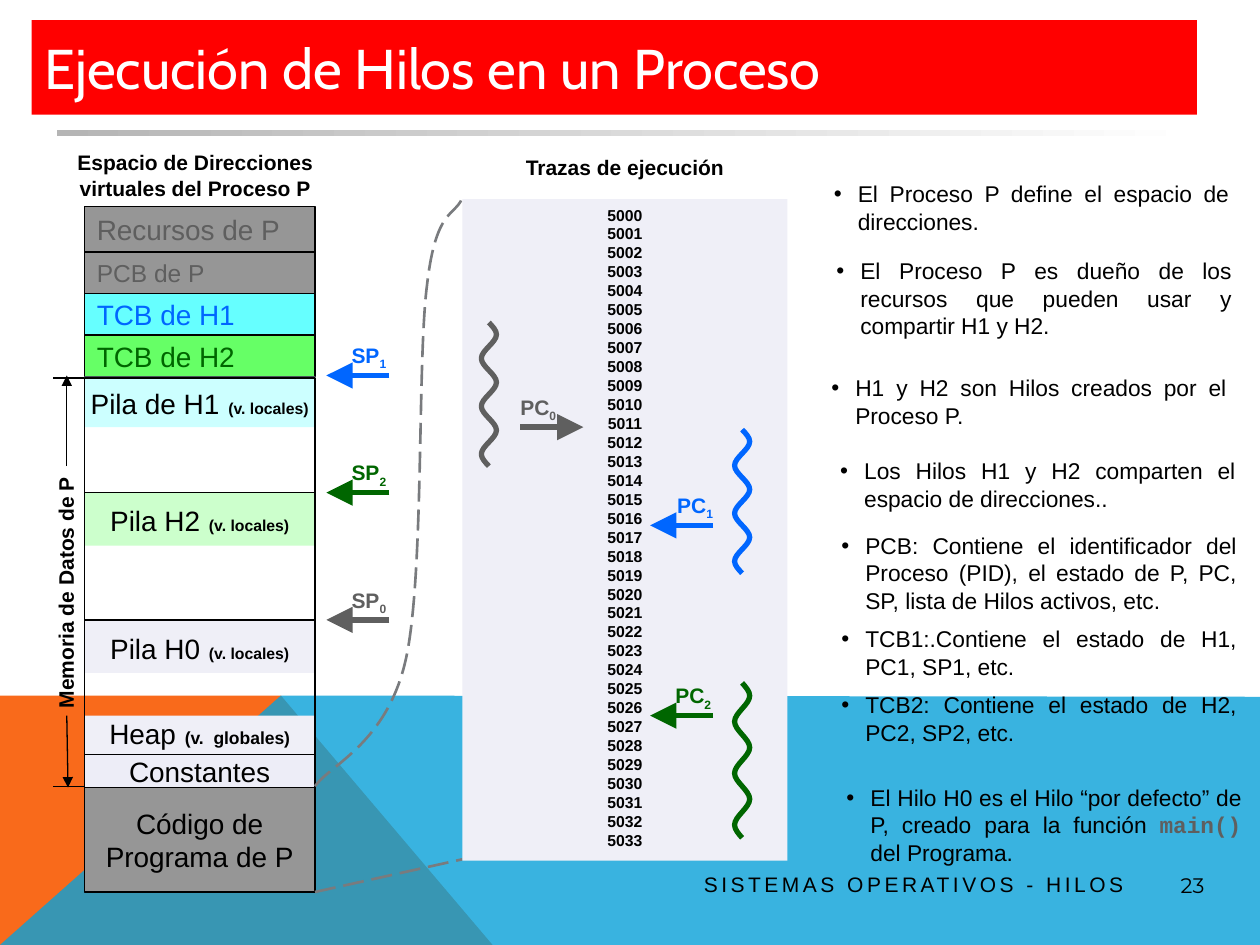
from lxml import etree
from pptx import Presentation
from pptx.dml.color import RGBColor
from pptx.enum.dml import MSO_LINE
from pptx.enum.shapes import MSO_CONNECTOR, MSO_SHAPE
from pptx.enum.text import MSO_ANCHOR, PP_ALIGN
from pptx.oxml.ns import qn
from pptx.util import Inches, Pt

LEFT, CENTER, RIGHT = PP_ALIGN.LEFT, PP_ALIGN.CENTER, PP_ALIGN.RIGHT
JUSTIFY = PP_ALIGN.JUSTIFY
TOP, MIDDLE = MSO_ANCHOR.TOP, MSO_ANCHOR.MIDDLE
RECT, OVAL = MSO_SHAPE.RECTANGLE, MSO_SHAPE.OVAL
STRAIGHT, LONG_DASH = MSO_CONNECTOR.STRAIGHT, MSO_LINE.LONG_DASH

BLACK, GRAY, BLUE, GREEN = "000000", "5F5F5F", "0066FF", "006600"
DARK, PALE = "969696", "EFEFF7"
MEM_X, MEM_W = 0.67, 1.83

BULLETS = [
    (6.52, 1.38, 0.54, ["El Proceso P define el espacio de direcciones."]),
    (6.54, 1.99, 0.76, ["El Proceso P es dueño de los recursos que pueden usar y compartir H1 y H2."]),
    (6.5, 2.92, 0.49, ["H1 y H2 son Hilos creados por el Proceso P."]),
    (6.57, 3.58, 0.54, ["Los Hilos H1 y H2 comparten el espacio de direcciones.."]),
    (6.58, 4.17, 1.85, [
        "PCB: Contiene el identificador del Proceso (PID), el estado de P, PC, SP, lista de Hilos activos, etc.",
        "TCB1:.Contiene el estado de H1, PC1, SP1, etc.",
        "TCB2: Contiene el estado de H2, PC2, SP2, etc."]),
    (6.62, 6.17, 0.76, ["El Hilo H0 es el Hilo “por defecto” de P, creado para la función "]),
]


def rgb(color):
    return RGBColor.from_string(color)


def style(sp, fill=None, line=None, width=0.75):
    sp.shadow.inherit = False
    if fill:
        sp.fill.solid()
        sp.fill.fore_color.rgb = rgb(fill)
    else:
        sp.fill.background()
    if line:
        sp.line.color.rgb = rgb(line)
        sp.line.width = Pt(width)
    else:
        sp.line.fill.background()


def set_font(font, size, color=BLACK, bold=False, name="Arial"):
    font.size, font.bold, font.name = Pt(size), bold, name
    font.color.rgb = rgb(color)


def write(sp, lines, size, color=BLACK, bold=False, align=LEFT, anchor=TOP,
          wrap=True, margin=None, name="Arial"):
    tf = sp.text_frame
    tf.word_wrap, tf.vertical_anchor = wrap, anchor
    if margin is not None:
        tf.margin_left = tf.margin_right = tf.margin_top = tf.margin_bottom = Inches(margin)
    for i, text in enumerate(lines):
        p = tf.add_paragraph() if i else tf.paragraphs[0]
        p.add_run().text = text
        p.alignment = align
        set_font(p.font, size, color, bold, name)
    return tf


def add_run(p, text, size, **font):
    r = p.add_run()
    r.text = text
    set_font(r.font, size, **font)
    return r


def box(s, x, y, w, h, fill=None, line=None, shape=RECT):
    sp = s.shapes.add_shape(shape, Inches(x), Inches(y), Inches(w), Inches(h))
    style(sp, fill, line)
    return sp


def label(s, x, y, w, h, lines, size, **text):
    sp = s.shapes.add_textbox(Inches(x), Inches(y), Inches(w), Inches(h))
    write(sp, lines, size, **text)
    return sp


def segment(s, y, h, fill, lines, size=16, color=BLACK, line=BLACK, align=CENTER, note=None):
    sp = box(s, MEM_X, y, MEM_W, h, fill, line)
    tf = write(sp, lines, size, color, align=align, anchor=MIDDLE, wrap=False)
    if note:
        add_run(tf.paragraphs[0], " ", 18)
        add_run(tf.paragraphs[0], note[0], note[1], bold=True)


def connect(s, x1, y1, x2, y2, color=BLACK, width=0.75, arrow=None):
    c = s.shapes.add_connector(STRAIGHT, Inches(x1), Inches(y1), Inches(x2), Inches(y2))
    c.line.color.rgb = rgb(color)
    c.line.width = Pt(width)
    if arrow:
        etree.SubElement(c.line._get_or_add_ln(), qn("a:tailEnd"), type="triangle", w=arrow, len=arrow)
    etree.SubElement(c._element.spPr, qn("a:effectLst"))


def outline(s, points, fill=None, line=None, width=1.5, dash=None):
    pts = [(Inches(x), Inches(y)) for x, y in points]
    fb = s.shapes.build_freeform(*pts[0], scale=1)
    fb.add_line_segments(pts[1:], close=bool(fill))
    sp = fb.convert_to_shape()
    style(sp, fill, line, width)
    if dash:
        sp.line.dash_style = dash
    return sp


def curve(s, points, **look):
    sp = outline(s, points, **look)
    lines = list(sp._element.iter(qn("a:lnTo")))
    for i in range(0, len(lines), 3):
        bez = etree.Element(qn("a:cubicBezTo"))
        lines[i].addprevious(bez)
        for ln in lines[i:i + 3]:
            bez.append(ln[0])
            ln.getparent().remove(ln)


def thread(s, x, y, h, color):
    step = h / 12
    points = [(x, y)]
    for i in range(12):
        side = 1 if i % 4 < 2 else -1
        offsets = (0.03, 0.06, 0.06) if i % 2 == 0 else (0.06, 0.03, 0)
        points += [(x + side * dx, y + step * (i + k / 3)) for k, dx in enumerate(offsets, 1)]
    curve(s, points, line=color, width=3)


def pointer(s, x, y, name, index, color, to_right=False, align=LEFT):
    group = s.shapes.add_group_shape()
    start, end = (x, x + 0.5) if to_right else (x + 0.5, x)
    connect(group, start, y, end, y, color, 3, arrow="lg")
    sp = label(group, x if to_right else x + 0.2, y - 0.26, 0.3, 0.2, [name], 12,
               color=color, bold=True, align=align, margin=0)
    r = add_run(sp.text_frame.paragraphs[0], index, 12, color=color, bold=True)
    r._r.get_or_add_rPr().set("baseline", "-25000")


def bullets(s, x, y, h, lines):
    sp = label(s, x, y, 3.33, h, lines, 13, align=JUSTIFY)
    for i, p in enumerate(sp.text_frame.paragraphs):
        pPr = p._p.get_or_add_pPr()
        pPr.set("marL", str(Inches(0.19)))
        pPr.set("indent", str(-Inches(0.19)))
        for bu in (etree.Element(qn("a:buFont"), typeface="Arial"),
                   etree.Element(qn("a:buChar"), char="•")):
            pPr.insert_element_before(bu, "a:tabLst", "a:defRPr", "a:extLst")
        if i:
            p.space_before = Pt(6.5)
        for r in p.runs:
            set_font(r.font, 13)
    return sp


def background(s):
    outline(s, [(0, 7.5), (0, 5.52), (2.23, 5.52), (3.91, 7.5)], fill="F96A1B")
    sp = outline(s, [(0, 7.5), (2.23, 5.52), (10, 5.53), (10, 7.5)], fill="08A1D9")
    etree.SubElement(sp.fill.fore_color._xFill.find(qn("a:srgbClr")), qn("a:alpha"), val="80000")
    rule = box(s, 0.45, 1.03, 9.05, 0.05)
    rule.fill.gradient()
    rule.fill.gradient_angle = 0
    for stop, color in zip(rule.fill.gradient_stops, ("B5B5B5", "FFFFFF")):
        stop.color.rgb = rgb(color)


def title(s):
    sp = s.shapes.title
    sp.left, sp.top, sp.width, sp.height = Inches(0.25), Inches(0.16), Inches(9.25), Inches(0.75)
    sp.fill.solid()
    sp.fill.fore_color.rgb = rgb("FF0000")
    write(sp, ["Ejecución de Hilos en un Proceso"], 32, "FFFFFF", anchor=MIDDLE, name="Cabin")


def footer(s):
    sp = label(s, 3.85, 6.87, 5.17, 0.3, ["SISTEMAS OPERATIVOS - HILOS"], 12, align=RIGHT, anchor=MIDDLE)
    sp.text_frame.paragraphs[0].runs[0]._r.get_or_add_rPr().set("spc", "200")
    write(box(s, 9.19, 6.75, 0.55, 0.55, shape=OVAL), ["23"], 12, align=CENTER,
          anchor=MIDDLE, margin=0.01, name="Montserrat")


def memory_map(s):
    label(s, 0.51, 1.14, 2.08, 0.5, ["Espacio de Direcciones virtuales del Proceso P"], 12,
          bold=True, align=CENTER, anchor=MIDDLE)
    segment(s, 6.25, 0.83, DARK, ["Código de", "Programa de P"])
    for y, h, fill, text, size, color in [
            (1.64, 0.36, DARK, "Recursos de P", 16, GRAY), (2, 0.33, DARK, "PCB de P", 14, GRAY),
            (2.33, 0.33, "66FFFF", "TCB de H1", 16, BLUE), (2.66, 0.33, "66FF66", "TCB de H2", 16, GREEN)]:
        segment(s, y, h, fill, [text], size, color, align=LEFT)
    box(s, MEM_X, 5.75, MEM_W, 0.25, PALE)
    for y, h, fill, text, note in [
            (2.99, 0.4, "CCFFFF", "Pila de H1", ("(v. locales)", 9)),
            (3.91, 0.42, "CCFFCC", "Pila H2", ("(v. locales)", 9)),
            (4.92, 0.42, PALE, "Pila H0", ("(v. locales)", 9)),
            (5.68, 0.26, PALE, "Heap", ("(v.  globales)", 10))]:
        segment(s, y, h, fill, [text], line=None, note=note)
    segment(s, 5.99, 0.26, "EDEDF7", ["Constantes"])
    box(s, MEM_X, 3, MEM_W, 3.25, line=BLACK)
    for y in (3.91, 4.92):
        connect(s, MEM_X, y, MEM_X + MEM_W, y)
    for y in (3, 6.24):
        connect(s, MEM_X, y, 0.42, y)
    connect(s, 0.53, 3.7, 0.53, 2.98, arrow="med")
    connect(s, 0.53, 5.68, 0.54, 6.25, arrow="med")
    label(s, -0.47, 4.53, 1.98, 0.2, ["Memoria de Datos de P"], 12, bold=True, margin=0).rotation = 270
    for y, index, color in [(2.98, "1", BLUE), (3.91, "2", GREEN), (4.92, "0", GRAY)]:
        pointer(s, 2.59, y, "SP", index, color)


def traces(s):
    curve(s, [(2.5, 6.24), (2.62, 6.07), (3.07, 5.9), (3.22, 5.24), (3.37, 4.58),
              (3.31, 2.87), (3.39, 2.26), (3.46, 1.65), (3.61, 1.72), (3.67, 1.57)],
          line="797B7E", dash=LONG_DASH)
    outline(s, [(2.5, 7.08), (3.67, 6.82)], line="797B7E", dash=LONG_DASH)
    label(s, 3.67, 1.18, 2.58, 0.3, ["Trazas de ejecución"], 12, bold=True, align=CENTER, anchor=MIDDLE)
    tf = write(box(s, 3.67, 1.58, 2.58, 5.25, PALE), [str(n) for n in range(5000, 5034)], 9,
               bold=True, align=CENTER, wrap=False)
    for p in tf.paragraphs:
        p.line_spacing = Pt(10.83)
    pointer(s, 4.13, 3.39, "PC", "0", GRAY, to_right=True)
    pointer(s, 5.16, 4.17, "PC", "1", BLUE, align=RIGHT)
    pointer(s, 5.16, 5.68, "PC", "2", GREEN)
    for x, y, h, color in [(3.88, 2.56, 1.14, GRAY), (5.89, 3.41, 1.14, BLUE), (5.89, 5.42, 1.23, GREEN)]:
        thread(s, x, y, h, color)


def main():
    prs = Presentation()
    prs.slide_width, prs.slide_height = Inches(10), Inches(7.5)
    s = prs.slides.add_slide(prs.slide_layouts[5])
    background(s)
    title(s)
    footer(s)
    memory_map(s)
    traces(s)
    for item in BULLETS:
        sp = bullets(s, *item)
    p = sp.text_frame.paragraphs[0]
    add_run(p, "main()", 13, color=GRAY, bold=True, name="Courier New")
    add_run(p, " del Programa.", 13)
    prs.save("out.pptx")


if __name__ == "__main__":
    main()
